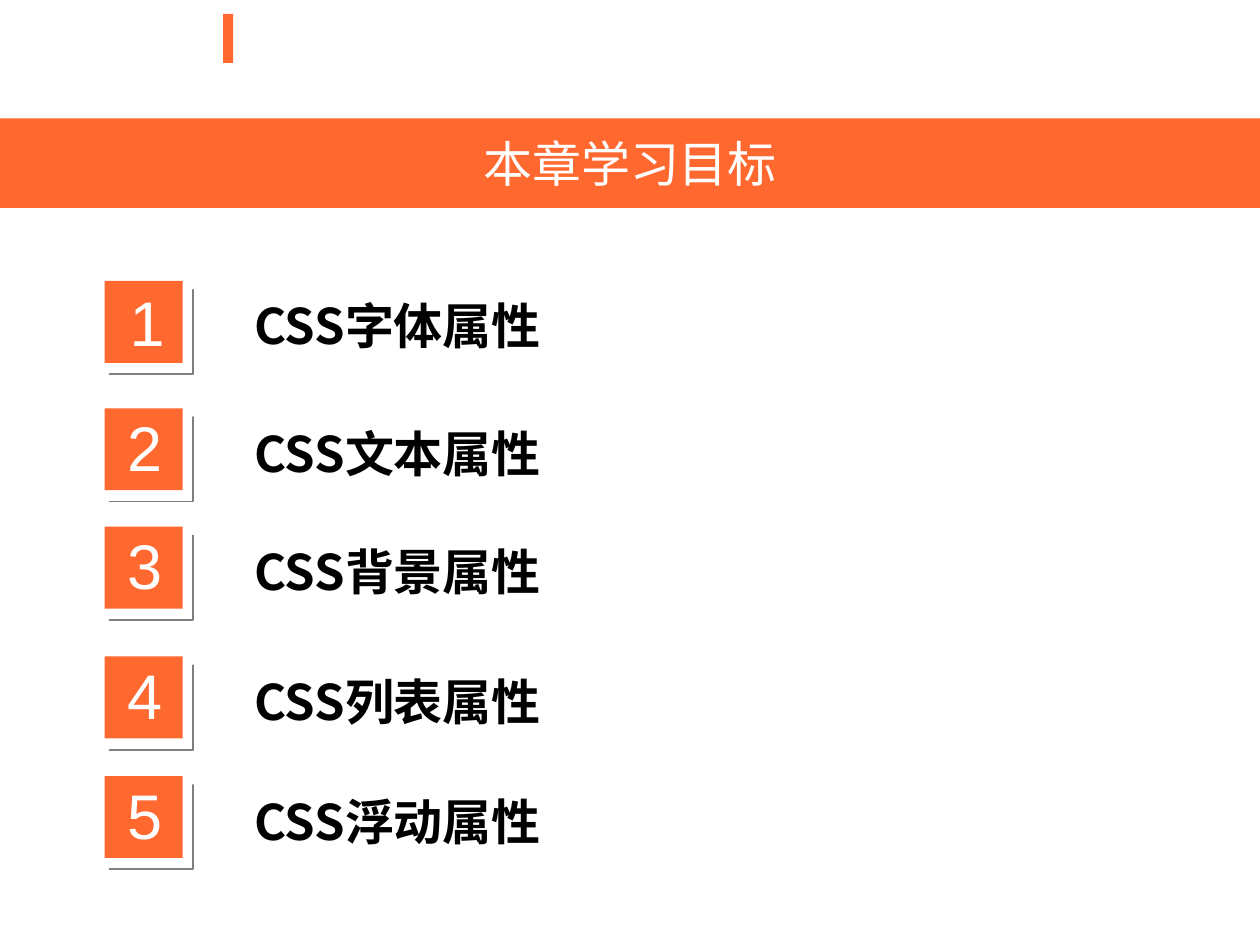
from typing import NamedTuple

from pptx import Presentation
from pptx.dml.color import RGBColor
from pptx.enum.shapes import MSO_SHAPE
from pptx.enum.text import MSO_ANCHOR, MSO_AUTO_SIZE, PP_ALIGN
from pptx.oxml.ns import qn
from pptx.util import Inches, Pt

ORANGE, WHITE, BLACK = "FF682F", "FFFFFF", "000000"
CJK = "Noto Sans CJK SC"


class Goal(NamedTuple):
    text: str
    top: float
    text_width: float = 7.26
    number_left: float = 0.91
    number_rise: float = 0.05


GOALS = [
    Goal("CSS字体属性", 2.23, 7.69, 0.93, 0.03),
    Goal("CSS文本属性", 3.24, 7.69),
    Goal("CSS背景属性", 4.18),
    Goal("CSS列表属性", 5.21),
    Goal("CSS浮动属性", 6.16),
]


def paint(fmt, color: str) -> None:
    """Give a fill format one solid colour."""
    fmt.solid()
    fmt.fore_color.rgb = RGBColor.from_string(color)


def write(sp, text: str, *, size: int, color: str, font: str = "Arial",
          bold: bool = False, align=PP_ALIGN.LEFT, anchor=MSO_ANCHOR.TOP,
          fit=MSO_AUTO_SIZE.SHAPE_TO_FIT_TEXT) -> None:
    tf = sp.text_frame
    tf.word_wrap = True
    tf.auto_size = fit
    tf.vertical_anchor = anchor
    p = tf.paragraphs[0]
    p.alignment = align
    r = p.add_run()
    r.text = text
    r.font.size, r.font.name, r.font.bold = Pt(size), font, bold
    paint(r.font.fill, color)
    ea = r._r.get_or_add_rPr().makeelement(qn("a:ea"), {"typeface": CJK})
    r._r.rPr.find(qn("a:latin")).addnext(ea)


def add_box(slide, left: float, top: float, width: float, height: float) -> None:
    sp = slide.shapes.add_shape(MSO_SHAPE.RECTANGLE, Inches(left), Inches(top),
                                Inches(width), Inches(height))
    sp.shadow.inherit = False
    paint(sp.fill, ORANGE)
    sp.line.fill.background()


def add_text(slide, left: float, top: float, width: float, height: float,
             text: str, **style) -> None:
    sp = slide.shapes.add_textbox(Inches(left), Inches(top), Inches(width), Inches(height))
    write(sp, text, **style)


def add_corner(slide, left: float, top: float, right: float, bottom: float) -> None:
    """Draw the thin L-shaped edge to the lower right of a number box."""
    x0, y0, x1, y1 = (Inches(v) for v in (left, top, right, bottom))
    fb = slide.shapes.build_freeform(x0, y1)
    fb.add_line_segments([(x1, y1), (x1, y0), (x1, y1)], close=True)
    sp = fb.convert_to_shape()
    sp.shadow.inherit = False
    paint(sp.fill, "AFABAB")
    paint(sp.line.fill, "7F7F7F")
    sp.line.width = Pt(1)


def add_goal(slide, number: int, goal: Goal) -> None:
    top = goal.top
    add_box(slide, 0.83, top, 0.62, 0.65)
    add_text(slide, goal.number_left, top - goal.number_rise, 0.51, 0.71,
             str(number), size=36, color=WHITE)
    add_corner(slide, 0.87, top + 0.07, 1.53, top + 0.74)
    add_text(slide, 1.92, top + 0.07, goal.text_width, 0.57, goal.text,
             size=28, color=BLACK, font=CJK, bold=True)


def main() -> None:
    prs = Presentation()
    prs.slide_width, prs.slide_height = Inches(10), Inches(7.5)
    slide = prs.slides.add_slide(prs.slide_layouts[5])

    add_box(slide, 1.77, 0.11, 0.08, 0.39)

    title = slide.shapes.title
    title.left, title.top = Inches(0), Inches(0.94)
    title.width, title.height = Inches(10), Inches(0.71)
    paint(title.fill, ORANGE)
    write(title, "本章学习目标", size=28, color=WHITE, align=PP_ALIGN.CENTER,
          anchor=MSO_ANCHOR.MIDDLE, fit=MSO_AUTO_SIZE.NONE)

    for number, goal in enumerate(GOALS, 1):
        add_goal(slide, number, goal)

    prs.save("out.pptx")


if __name__ == "__main__":
    main()
